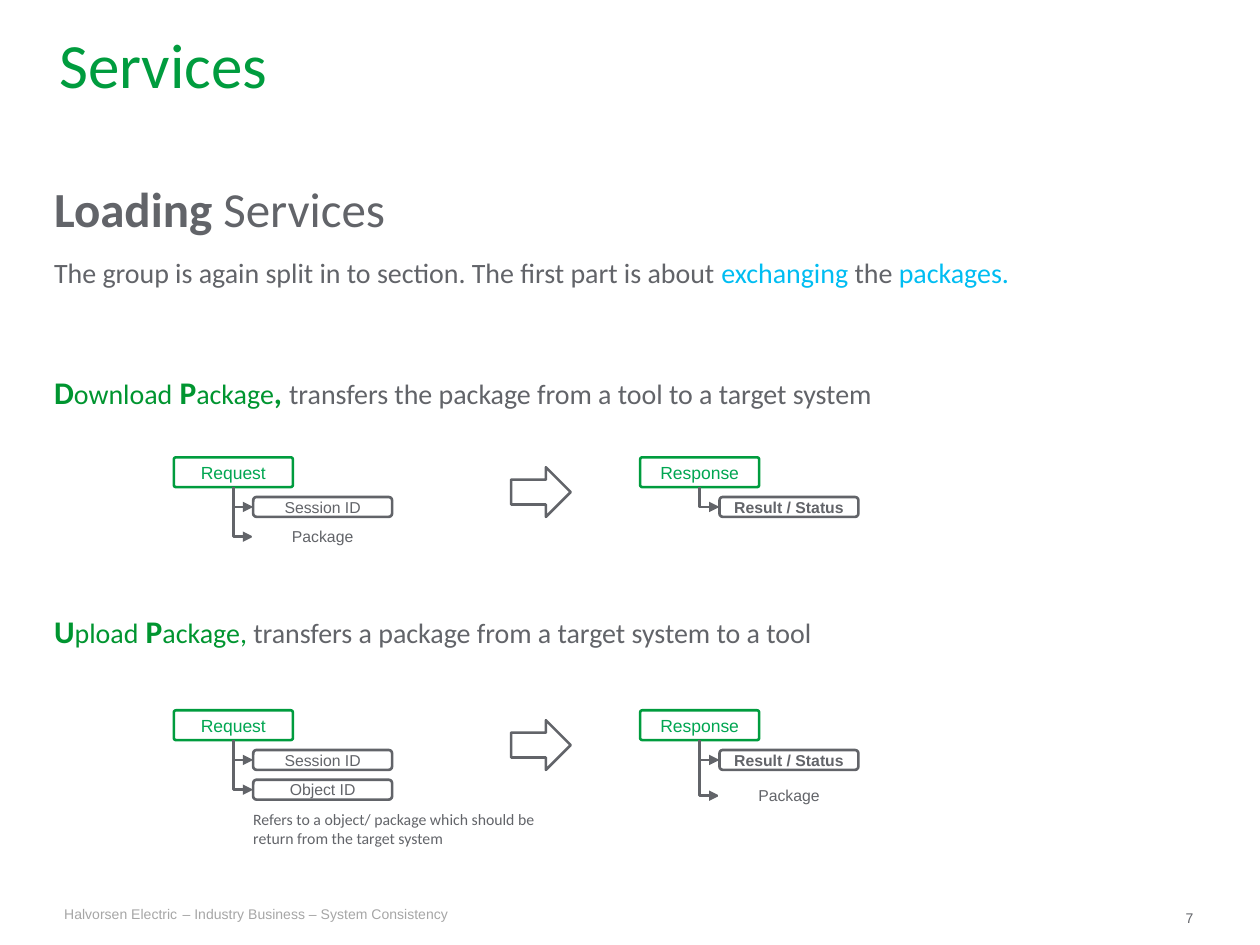
import pptx
import pptx.util
import pptx.dml.color
import pptx.enum.shapes
import pptx.enum.text
import pptx.oxml.ns
import lxml.etree

THEME = {
    "grey": "626469", "pale": "A6A6A6", "white": "FFFFFF", "cyan": "00BDF2",
    "title": "009C3E", "accent": "009530", "label": "00A651",
    "body_font": "Calibri", "box_font": "Arial",
    "title_size": 36, "heading_size": 28, "initial_size": 18, "body_size": 16,
    "head_size": 10, "item_size": 9, "footer_size": 8, "line": 1.5,
}


def run(text, size, color, bold=False, font="body_font"):
    return text, size, color, bold, font


def footer(text, color="pale"):
    return [(0, [run(text, "footer_size", color, font="box_font")])]


def service(verb, tail, separator, description):
    return [
        run(verb[0], "initial_size", "accent", True),
        run(verb[1:], "body_size", "accent"),
        run(" P", "initial_size", "accent", True),
        run("ackage" + tail, "body_size", "accent"),
        *separator,
        run(description, "body_size", "grey"),
    ]


TEXTS = [
    ((0.51, 7.19, 0.9, 0.26), "TOP", footer("Halvorsen Electric")),
    ((9.41, 7.22, 0.32, 0.13), "TOP", footer("7", "grey")),
    ((1.45, 7.19, 2.13, 0.13), "TOP", footer("– Industry Business – System Consistency")),
    ((0.47, 0.32, 9.06, 0.36), "MIDDLE", [(0, [run("Services", "title_size", "title")])]),
    ((0.43, 1.42, 9.06, 1.26), "TOP", [
        (0, [run("Loading ", "heading_size", "grey", True),
             run("Services", "heading_size", "grey")]),
        (10, [run("The group is again split in to section. The first part is about ",
                  "body_size", "grey"),
              run("exchanging", "body_size", "cyan"),
              run(" the ", "body_size", "grey"),
              run("packages.", "body_size", "cyan")]),
    ]),
    ((0.43, 2.96, 9.37, 4.17), "TOP", [
        (0, service("Download", "", [run(", ", "initial_size", "accent", True)],
                    "transfers the package from a tool to a target system")),
        (115, service("Upload", ", ", [],
                      "transfers a package from a target system to a tool")),
    ]),
    ((2.01, 6.43, 2.28, 0.45), "TOP", [
        (0, [run("Refers to a object/ package which should be return from the target system",
                 "item_size", "grey")]),
    ]),
]

RESULT = ("Result / Status", 4, True, "grey")
SESSION = ("Session ID", 4, False, "grey")
EXCHANGES = [
    [("Request", [SESSION, ("Package", 7, False, "white")]),
     ("Response", [RESULT])],
    [("Request", [SESSION, ("Object ID", 7, False, "grey")]),
     ("Response", [RESULT, ("Package", 7.6, False, "white")])],
]

CELL = pptx.util.Mm(2)
LEFT, TOP = pptx.util.Inches(1.38), pptx.util.Inches(3.63)
EXCHANGE_ROWS, MESSAGE_COLUMNS = 25.5, 47
HEAD, ITEM, ARROW = (12, 3), (14, 2), (6, 5)
ITEM_COLUMN, ARROW_COLUMN, ARROW_ROW = 8, 34, 1

presentation = pptx.Presentation()
presentation.slide_width = pptx.util.Inches(10)
presentation.slide_height = pptx.util.Inches(7.5)
slide = presentation.slides.add_slide(presentation.slide_layouts[6])


def rgb(name):
    return pptx.dml.color.RGBColor.from_string(THEME[name])


def grid(column, row):
    return round(LEFT + column * CELL), round(TOP + row * CELL)


def set_frame(frame, anchor, side_margin=0):
    frame.word_wrap = True
    frame.margin_left = frame.margin_right = pptx.util.Inches(side_margin)
    frame.margin_top = frame.margin_bottom = 0
    frame.vertical_anchor = getattr(pptx.enum.text.MSO_ANCHOR, anchor)


def add_run(paragraph, text, size, color, bold, font):
    piece = paragraph.add_run()
    piece.text = text
    piece.font.size = pptx.util.Pt(THEME[size])
    piece.font.name = THEME[font]
    piece.font.bold = bold
    piece.font.color.rgb = rgb(color)


def add_text(box, anchor, paragraphs):
    frame = slide.shapes.add_textbox(*map(pptx.util.Inches, box)).text_frame
    set_frame(frame, anchor)
    for index, (space, runs) in enumerate(paragraphs):
        paragraph = frame.add_paragraph() if index else frame.paragraphs[0]
        if space:
            paragraph.space_before = pptx.util.Pt(space)
        for item in runs:
            add_run(paragraph, *item)


def add_shape(kind, column, row, size, line):
    width, height = (round(length * CELL) for length in size)
    shape = slide.shapes.add_shape(
        getattr(pptx.enum.shapes.MSO_SHAPE, kind), *grid(column, row), width, height)
    shape.shadow.inherit = False
    shape.fill.solid()
    shape.fill.fore_color.rgb = rgb("white")
    shape.line.color.rgb = rgb(line)
    shape.line.width = pptx.util.Pt(THEME["line"])
    return shape


def add_box(column, row, size, line, label):
    shape = add_shape("ROUNDED_RECTANGLE", column, row, size, line)
    set_frame(shape.text_frame, "MIDDLE", 0.04)
    paragraph = shape.text_frame.paragraphs[0]
    paragraph.alignment = pptx.enum.text.PP_ALIGN.CENTER
    add_run(paragraph, *label)
    return shape


def add_branch(start, end):
    width, height = end[0] - start[0], end[1] - start[1]
    center_x, center_y = (start[0] + end[0]) // 2, (start[1] + end[1]) // 2
    connector = slide.shapes.add_connector(
        pptx.enum.shapes.MSO_CONNECTOR.ELBOW,
        center_x + height // 2, center_y - width // 2,
        center_x - height // 2, center_y + width // 2)
    connector.line.color.rgb = rgb("grey")
    connector.line.width = pptx.util.Pt(THEME["line"])
    properties = connector._element.spPr
    qualified = pptx.oxml.ns.qn
    properties.find(qualified("a:xfrm")).set("rot", "16200000")
    properties.find(qualified("a:prstGeom")).set("prst", "bentConnector2")
    line = properties.find(qualified("a:ln"))
    lxml.etree.SubElement(line, qualified("a:tailEnd"), type="triangle")
    lxml.etree.SubElement(properties, qualified("a:effectLst"))


def add_message(column, row, name, items):
    head = add_box(column, row, HEAD, "title",
                   run(name, "head_size", "label", font="box_font"))
    head.adjustments[0] = 0.07
    item_column = column + ITEM_COLUMN
    for text, offset, bold, line in items:
        add_branch(grid(column + HEAD[0] / 2, row + HEAD[1]),
                   grid(item_column, row + offset + ITEM[1] / 2))
        add_box(item_column, row + offset, ITEM, line,
                run(text, "item_size", "grey", bold, "box_font"))


for text in TEXTS:
    add_text(*text)

for exchange_index, messages in enumerate(EXCHANGES):
    row = exchange_index * EXCHANGE_ROWS
    for message_index, (name, items) in enumerate(messages):
        add_message(message_index * MESSAGE_COLUMNS, row, name, items)
    add_shape("RIGHT_ARROW", ARROW_COLUMN, row + ARROW_ROW, ARROW, "grey")

presentation.save("out.pptx")
